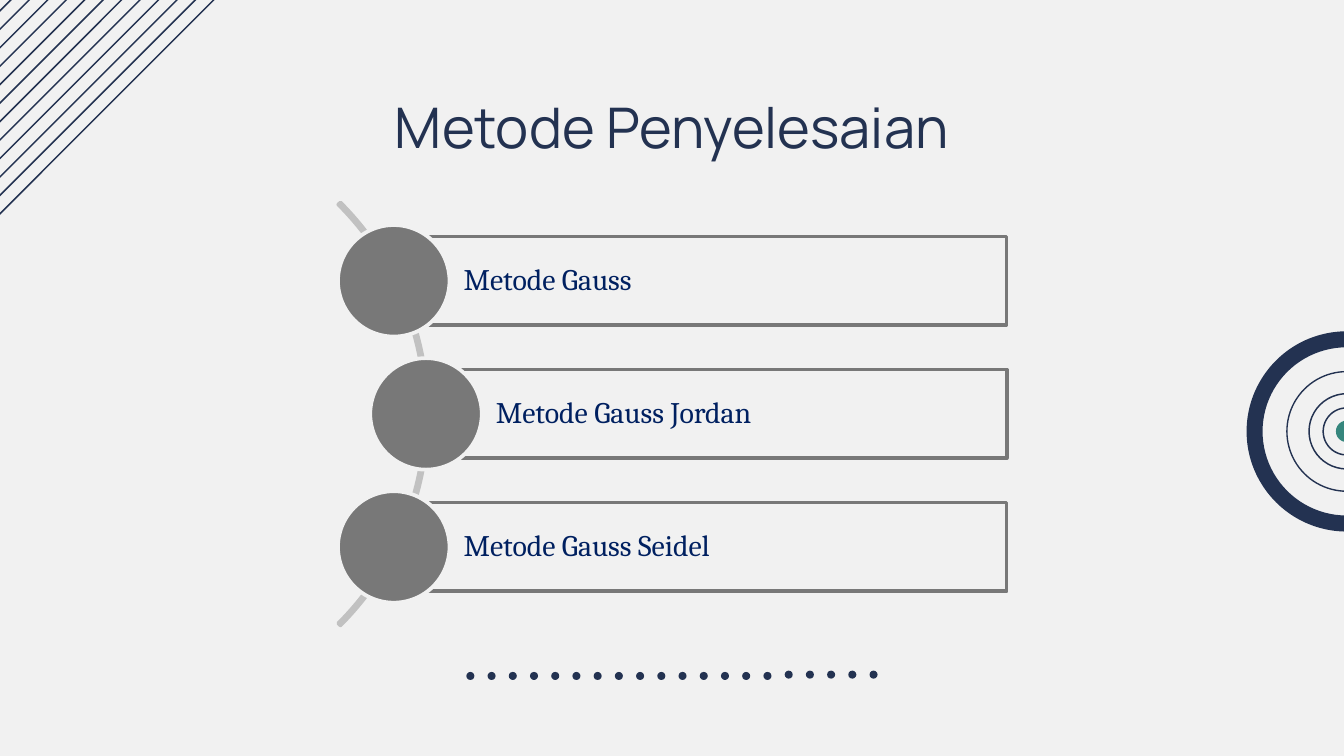
import pptx
import pptx.util
import pptx.dml.color
import pptx.enum.shapes
import pptx.enum.text
import pptx.oxml.ns
from lxml import etree

Inch = pptx.util.Inches
Pt = pptx.util.Pt
RGB = pptx.dml.color.RGBColor
Kind = pptx.enum.shapes.MSO_SHAPE
Align = pptx.enum.text.PP_ALIGN
Anchor = pptx.enum.text.MSO_ANCHOR

NAVY = RGB(0x23, 0x32, 0x51)
TEAL = RGB(0x36, 0x86, 0x7D)
PALE = RGB(0xF1, 0xF1, 0xF1)
GREY = RGB(0x78, 0x78, 0x78)
SILVER = RGB(0xC1, 0xC1, 0xC1)
BLUE = RGB(0x00, 0x20, 0x60)

# Content
TITLE = "Metode Penyelesaian"
STEPS = [("Metode Gauss", 0), ("Metode Gauss Jordan", 1), ("Metode Gauss Seidel", 0)]
HEAD = {"name": "Manrope", "size": Pt(30), "color": NAVY}
BODY = {"name": "Cambria", "size": Pt(16), "color": BLUE}

# Layout, in inches
WIDE = 10
HIGH = WIDE * 9 / 16
LEFT, RIGHT = 2.93, 7.49           # sides of the step boxes
SHIFT = 0.24                       # indent of the middle step
ROW, PITCH, TALL = 2.09, 0.99, 0.66  # first row centre, row step, box height
KNOB = 0.83
ARC = 4.45
HUB = (10.02, 3.21)                # centre of the target
RINGS = [(0.89, 0.75), (0.56, 0.78), (0.35, 0.78)]  # size, line width
DOTS = [5.0] * 15 + [4.99] * 5     # top of each dot
RAYS, RUN = 12, 2.18               # diagonal lines and their extent


def style(shape, fill=None, line=None, width=0):
    shape.shadow.inherit = False
    if fill is None:
        shape.fill.background()
    else:
        shape.fill.solid()
        shape.fill.fore_color.rgb = fill
    if line is None:
        shape.line.fill.background()
    else:
        shape.line.color.rgb = line
        shape.line.width = Pt(width)
    return shape


def add(kind, x, y, w, h, **look):
    shape = slide.shapes.add_shape(kind, Inch(x), Inch(y), Inch(w), Inch(h))
    return style(shape, **look)


def disc(x, y, size, kind=Kind.OVAL, **look):
    """Add a round shape centred on x, y."""
    return add(kind, x - size / 2, y - size / 2, size, size, **look)


def write(shape, text, font, align, frame):
    for key, value in frame.items():
        setattr(shape.text_frame, key, value)
    para = shape.text_frame.paragraphs[0]
    para.alignment = align
    run = para.add_run()
    run.text = text
    for key, value in font.items():
        if key == "color":
            run.font.color.rgb = value
        else:
            setattr(run.font, key, value)
    return para


def rays():
    for i in range(RAYS):
        x = -0.04 - i * 1.51 / (RAYS - 1)
        ray = slide.shapes.add_connector(
            pptx.enum.shapes.MSO_CONNECTOR.STRAIGHT,
            Inch(x), Inch(1.63), Inch(x + RUN), Inch(1.63 - RUN))
        ray.line.color.rgb = NAVY
        ray.line.width = Pt(0.78)
        etree.SubElement(ray._element.spPr, pptx.oxml.ns.qn("a:effectLst"))


def dots():
    for i, top in enumerate(DOTS):
        add(Kind.OVAL, 3.47 + i * 3 / (len(DOTS) - 1), top, 0.06, 0.06, fill=NAVY)


def target():
    for size, width in RINGS:
        disc(*HUB, size, line=NAVY, width=width)
    disc(*HUB, 0.16, fill=TEAL)
    rim = disc(*HUB, 1.49, kind=Kind.DONUT, fill=NAVY)
    rim.adjustments[0] = 0.08


def title():
    box = slide.shapes.add_textbox(Inch(0.95), Inch(0.59), Inch(8.1), Inch(0.63))
    pad = {"margin_" + side: Inch(0.1) for side in ("left", "right", "top", "bottom")}
    write(box, TITLE, HEAD, Align.CENTER, {"word_wrap": True, **pad})


def steps():
    arc = disc(0.96, ROW + PITCH, ARC, kind=Kind.BLOCK_ARC, line=SILVER, width=2)
    for i, value in enumerate((189, 27, 0.005)):
        arc.adjustments[i] = value
    frame = {"word_wrap": True, "vertical_anchor": Anchor.MIDDLE,
             "margin_left": Inch(0.52), "margin_right": Inch(0.04),
             "margin_top": Inch(0.04), "margin_bottom": Inch(0.04)}
    for i, (text, level) in enumerate(STEPS):
        x, y = LEFT + level * SHIFT, ROW + i * PITCH
        box = add(Kind.RECTANGLE, x, y - TALL / 2, RIGHT - x, TALL,
                  fill=PALE, line=GREY, width=2)
        write(box, text, BODY, Align.LEFT, frame).line_spacing = 0.9
        disc(x, y, KNOB, fill=GREY, line=PALE, width=2)


deck = pptx.Presentation()
deck.slide_width, deck.slide_height = Inch(WIDE), Inch(HIGH)
slide = deck.slides.add_slide(deck.slide_layouts[6])
slide.background.fill.solid()
slide.background.fill.fore_color.rgb = PALE
for part in (rays, dots, target, title, steps):
    part()
deck.save("out.pptx")
